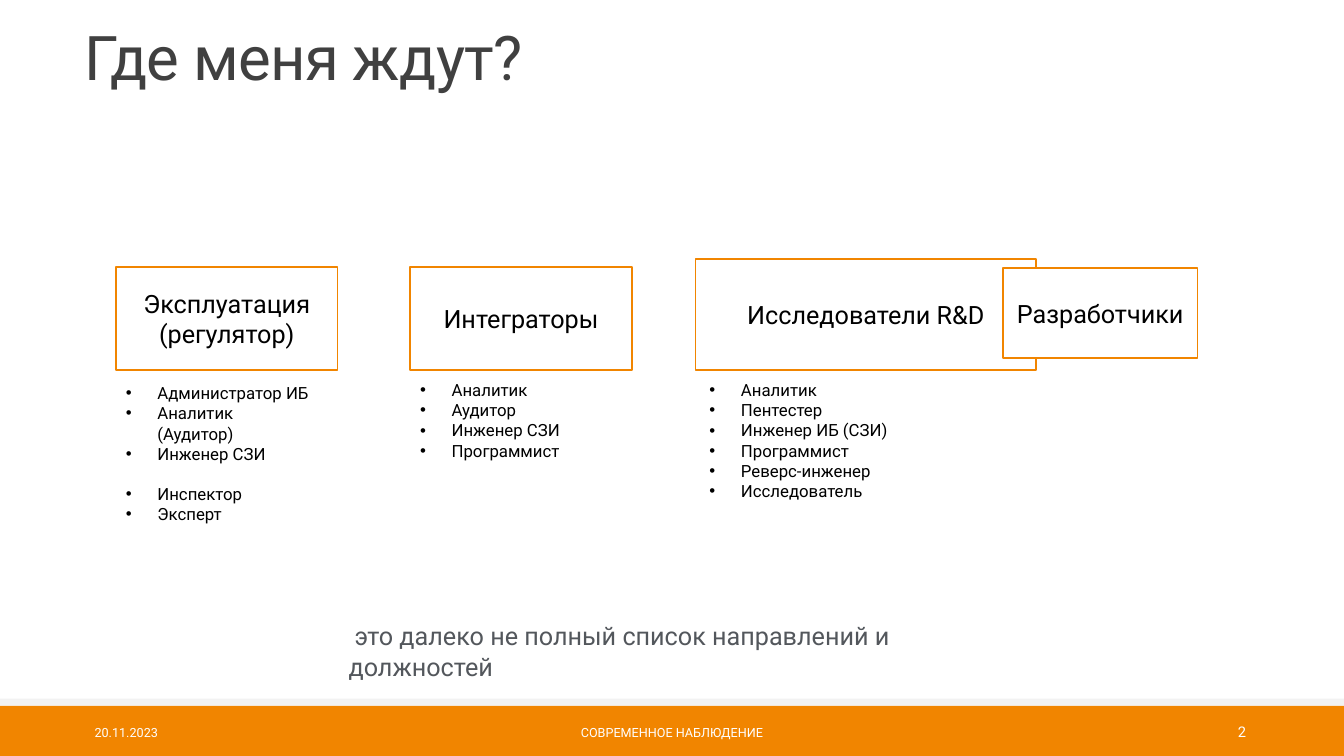
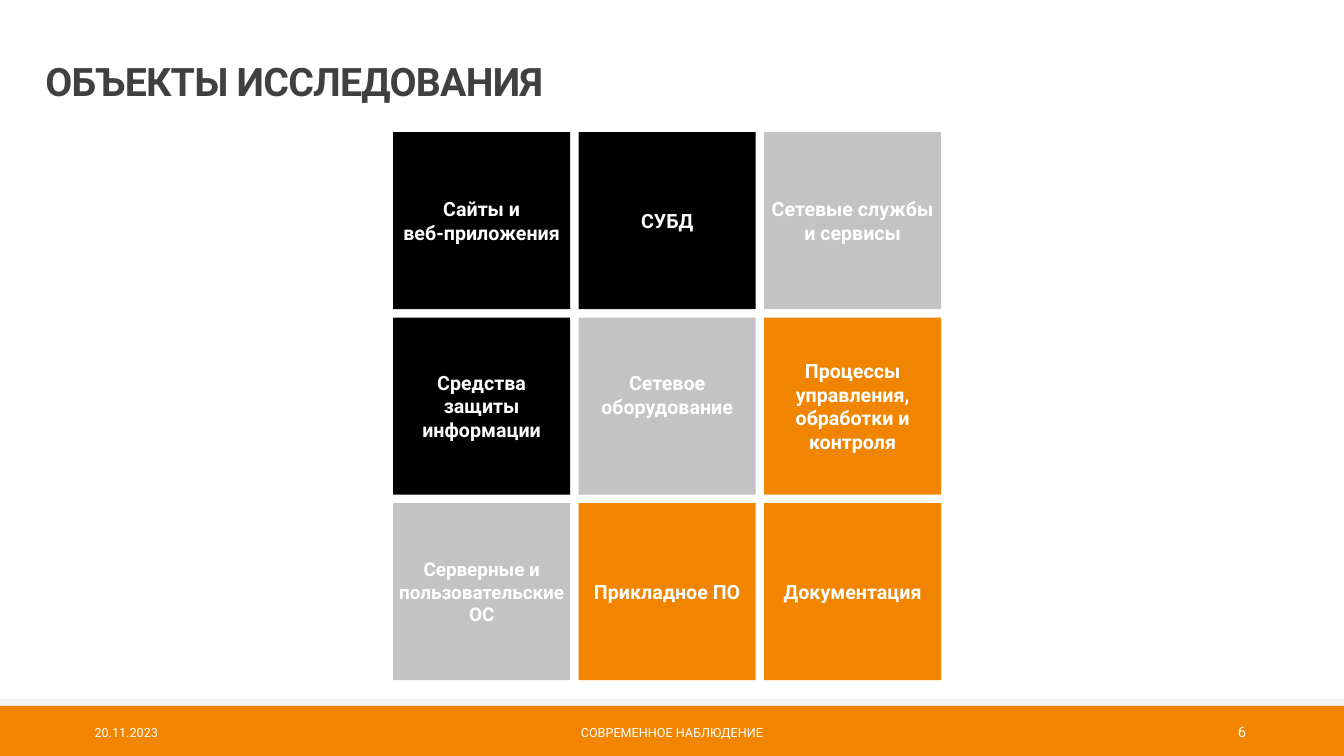
"""Build two slides: where specialists are needed and what is researched."""
import pptx
import pptx.util
import pptx.dml.color
import pptx.enum.shapes
import pptx.enum.text
import pptx.oxml
import pptx.oxml.ns

Pt = pptx.util.Pt
RGBColor = pptx.dml.color.RGBColor
Align = pptx.enum.text.PP_ALIGN
Anchor = pptx.enum.text.MSO_ANCHOR
RECTANGLE = pptx.enum.shapes.MSO_SHAPE.RECTANGLE

ORANGE = RGBColor(0xF1, 0x85, 0x00)
BLACK = RGBColor(0, 0, 0)
WHITE = RGBColor(0xFF, 0xFF, 0xFF)
SILVER = RGBColor(0xC3, 0xC3, 0xC3)
PALE = RGBColor(0xF2, 0xF2, 0xF2)
TITLE_GREY = RGBColor(0x40, 0x40, 0x40)
NOTE_GREY = RGBColor(0x53, 0x57, 0x5C)
FONT = "Roboto"
WIDTH, HEIGHT = 960, 540
INSETS = (7.2, 3.6, 7.2, 3.6)

DATE = "20.11.2023"
COMPANY = "СОВРЕМЕННОЕ НАБЛЮДЕНИЕ"

EMPLOYERS = [
    (["Эксплуатация", "(регулятор)"], (82.8, 190.8, 158.4, 73.4)),
    (["Интеграторы"], (293, 190.8, 158.4, 73.4)),
    (["Исследователи R&D"], (496.8, 185, 243.4, 79.2)),
    (["Разработчики"], (716.4, 191.5, 139, 64.1)),
]
JOBS = [
    ([["Администратор ИБ", "Аналитик (Аудитор)", "Инженер СЗИ"],
      ["Инспектор", "Эксперт"]], (82.8, 270, 148, 94.3)),
    ([["Аналитик", "Аудитор", "Инженер СЗИ", "Программист"]],
     (293, 267.8, 115.2, 65.5)),
    ([["Аналитик", "Пентестер", "Инженер ИБ (СЗИ)", "Программист",
       "Реверс-инженер", "Исследователь"]], (499.7, 267.8, 144, 94.3)),
]
NOTE = "это далеко не полный список направлений и должностей"

TILE_INSETS = (5, 3.6, 5, 3.6)
TILES = [
    [("Сайты и\vвеб-приложения", BLACK, {}),
     ("СУБД", BLACK, {}),
     ("Сетевые службы и сервисы", SILVER, {})],
    [("Средства защиты информации", BLACK, {}),
     ("Сетевое оборудование", SILVER, {"insets": (5, 3.6, 5, 20)}),
     ("Процессы управления, обработки и контроля", ORANGE, {})],
    [("Серверные и пользовательские ОС", SILVER,
      {"size": 13.5, "insets": (2.5, 3.6, 2.5, 3.6)}),
     ("Прикладное ПО", ORANGE, {}),
     ("Документация", ORANGE, {})],
]
TILE_LEFT, TILE_TOP, TILE_SIZE, TILE_PITCH = 280.8, 94.3, 126.5, 132.5


def write(box, lines, size, color, bold=False, align=Align.LEFT,
          anchor=Anchor.TOP, insets=INSETS):
    frame = box.text_frame
    frame.word_wrap = True
    frame.vertical_anchor = anchor
    (frame.margin_left, frame.margin_top,
     frame.margin_right, frame.margin_bottom) = map(Pt, insets)
    for number, line in enumerate(lines):
        para = frame.add_paragraph() if number else frame.paragraphs[0]
        para.alignment = align
        for part_number, part in enumerate(line.split("\v")):
            if part_number:
                para.add_line_break()
            span = para.add_run()
            span.text = part
            span.font.name = FONT
            span.font.size = Pt(size)
            span.font.bold = bold
            span.font.color.rgb = color
    return frame.paragraphs


def add_text(page, place, lines, size, color, **style):
    box = page.shapes.add_textbox(*map(Pt, place))
    return write(box, lines, size, color, **style)


def add_rectangle(page, place, fill, line=None):
    box = page.shapes.add_shape(RECTANGLE, *map(Pt, place))
    box.shadow.inherit = False
    box.fill.solid()
    box.fill.fore_color.rgb = fill
    if line is None:
        box.line.fill.background()
    else:
        box.line.color.rgb = line
        box.line.width = Pt(1.25)
    return box


def indent(para, margin, first):
    properties = para._p.get_or_add_pPr()
    properties.set("marL", str(Pt(margin)))
    properties.set("indent", str(Pt(first)))
    return properties


def add_bullet(para):
    properties = indent(para, 22.5, -22.5)
    namespace = pptx.oxml.ns.nsdecls("a")
    for xml in (f'<a:buFont {namespace} typeface="Arial"/>',
                f'<a:buChar {namespace} char="•"/>'):
        properties.append(pptx.oxml.parse_xml(xml))


def add_page(deck, number, title, place, size, bold):
    page = deck.slides.add_slide(deck.slide_layouts[6])
    add_rectangle(page, (0, 504, WIDTH, 36), ORANGE)
    add_rectangle(page, (0, 499, WIDTH, 5), PALE)
    footers = [
        (DATE, 60.5, 194.4, 9, Align.LEFT),
        (COMPANY, 290.2, 379.4, 9, Align.CENTER),
        (number, 794.2, 103, 10.5, Align.RIGHT),
    ]
    for text, left, width, text_size, align in footers:
        add_text(page, (left, 508.5, width, 28.8), [text], text_size, WHITE,
                 align=align, anchor=Anchor.MIDDLE)
    para = add_text(page, place, [title], size, TITLE_GREY, bold=bold,
                    insets=(0, 0, 0, 0))[0]
    para.line_spacing = 0.85
    para.runs[0]._r.get_or_add_rPr().set("spc", "-50")
    return page


def build_employers(deck):
    page = add_page(deck, "2", "Где меня ждут?",
                    (60.5, 21.6, 782.6, 66.2), 44, False)
    for lines, place in EMPLOYERS:
        box = add_rectangle(page, place, WHITE, ORANGE)
        write(box, lines, 18, BLACK, align=Align.CENTER, anchor=Anchor.MIDDLE)
    for groups, place in JOBS:
        paras = add_text(page, place, sum(groups, []), 12, BLACK)
        for para in paras:
            add_bullet(para)
        for group in groups[1:]:
            paras[len(groups[0])].space_before = Pt(14.4)
    note = add_text(page, (241.9, 439.9, 504.7, 28.8), [NOTE], 18, NOTE_GREY)
    indent(note[0], 0, 4.4)


def build_objects(deck):
    page = add_page(deck, "6", "ОБЪЕКТЫ ИССЛЕДОВАНИЯ",
                    (32.4, 46.1, 782.6, 27.4), 28, True)
    for row, tiles in enumerate(TILES):
        for column, (text, fill, changes) in enumerate(tiles):
            place = (TILE_LEFT + column * TILE_PITCH,
                     TILE_TOP + row * TILE_PITCH, TILE_SIZE, TILE_SIZE)
            style = {"size": 14, "insets": TILE_INSETS, **changes}
            write(add_rectangle(page, place, fill), [text], color=WHITE,
                  bold=True, align=Align.CENTER, anchor=Anchor.MIDDLE, **style)


def main():
    deck = pptx.Presentation()
    deck.slide_width, deck.slide_height = Pt(WIDTH), Pt(HEIGHT)
    build_employers(deck)
    build_objects(deck)
    deck.save("out.pptx")


if __name__ == "__main__":
    main()
